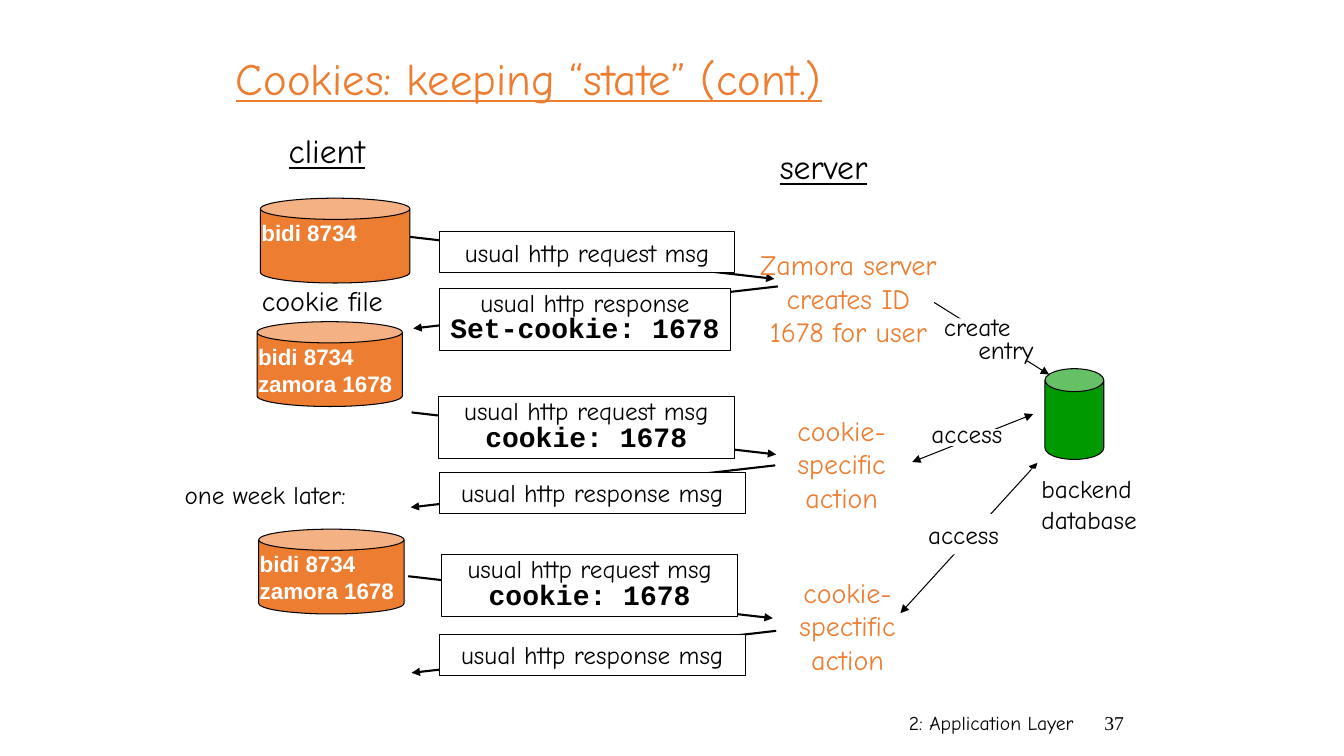
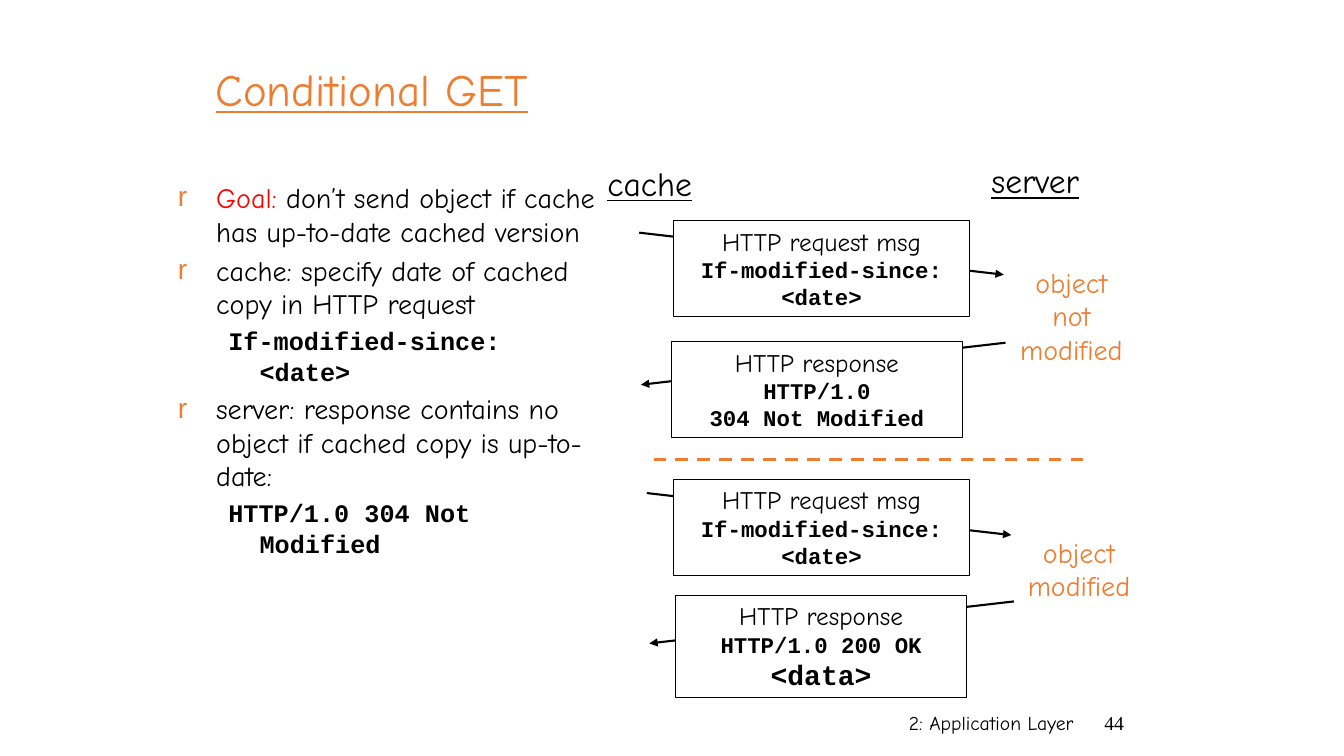
"""Build two slides on HTTP cookies and the conditional GET."""
from lxml.etree import SubElement
from pptx import Presentation
from pptx.dml.color import RGBColor
from pptx.enum.dml import MSO_LINE
from pptx.enum.shapes import MSO_CONNECTOR, MSO_SHAPE
from pptx.enum.text import MSO_ANCHOR, PP_ALIGN
from pptx.oxml.ns import qn
from pptx.util import Inches, Pt

BLACK = RGBColor(0x00, 0x00, 0x00)
WHITE = RGBColor(0xFF, 0xFF, 0xFF)
ORANGE = RGBColor(0xED, 0x7D, 0x31)
RED = RGBColor(0xFF, 0x00, 0x00)
GREEN = RGBColor(0x00, 0x99, 0x00)
COLS, ROWS = 160, 90
HAND, CODE = "Comic Neue", "Courier New"
LEFT, CENTER, RIGHT = PP_ALIGN.LEFT, PP_ALIGN.CENTER, PP_ALIGN.RIGHT


def font(size, color=BLACK, name=HAND, bold=False, underline=False):
    return dict(color=color, name=name, size=Pt(size), bold=bold, underline=underline)


STYLES = {
    "title": font(32, ORANGE, underline=True),
    "head": font(24, underline=True),
    "body": font(20),
    "goal": font(20, RED),
    "action": font(20, ORANGE),
    "label": font(18),
    "footer": font(14),
    "number": font(14, name="Times New Roman"),
    "entry": font(16, WHITE, "Arial", bold=True),
    "code16": font(16, name=CODE, bold=True),
    "code18": font(18, name=CODE, bold=True),
    "code20": font(20, name=CODE, bold=True),
}


class Deck:
    """Holds the presentation, its style and the current slide."""

    def __init__(self):
        self.prs = Presentation()
        self.prs.slide_width, self.prs.slide_height = Inches(13.33), Inches(7.5)
        self.s = None

    def grid(self, x, y, *size):
        """Turn columns and rows into lengths."""
        col, row = self.prs.slide_width / COLS, self.prs.slide_height / ROWS
        return [round(v * (row if i % 2 else col)) for i, v in enumerate((x, y, *size))]

    def slide(self, title, cells, number):
        """Start a slide with its title and footer."""
        self.s = self.prs.slides.add_slide(self.prs.slide_layouts[6])
        self.text((91, 84, 38, 6), ["2: Application Layer"], "footer", RIGHT)
        self.text((129, 84, 6, 6), [number], "number", RIGHT)
        self.text(cells, [title], "title").vertical_anchor = MSO_ANCHOR.MIDDLE

    def run(self, p, text, style):
        """Add a run in a named style."""
        r = p.add_run()
        r.text = text
        values = dict(STYLES[style])
        r.font.color.rgb = values.pop("color")
        for key, value in values.items():
            setattr(r.font, key, value)

    def put_lines(self, tf, lines, style, align=LEFT, spacing=None):
        """Fill a frame; a line is text, or text with its own style."""
        tf.word_wrap = True
        for i, line in enumerate(lines):
            p = tf.add_paragraph() if i else tf.paragraphs[0]
            for key, value in dict(alignment=align, line_spacing=spacing).items():
                setattr(p, key, value)
            self.run(p, *((line, style) if isinstance(line, str) else line))
        return tf

    def text(self, cells, lines, style="label", align=LEFT, spacing=None):
        """Add a text box."""
        tb = self.s.shapes.add_textbox(*self.grid(*cells))
        return self.put_lines(tb.text_frame, lines, style, align, spacing)

    def shape(self, cells, fill=WHITE, line=None, kind=MSO_SHAPE.RECTANGLE):
        """Add a filled shape, outlined if a line colour is given."""
        sp = self.s.shapes.add_shape(kind, *self.grid(*cells))
        sp.shadow.inherit = False
        sp.fill.solid()
        sp.fill.fore_color.rgb = fill
        if line is None:
            sp.line.fill.background()
        else:
            sp.line.color.rgb = line
            sp.line.width = Pt(0.75)
        sp.text_frame.vertical_anchor = MSO_ANCHOR.TOP
        return sp

    def can(self, cells, lines=(), fill=ORANGE, depth=0.25):
        """Add a data store with entries on its front."""
        sp = self.shape(cells, fill, BLACK, MSO_SHAPE.CAN)
        sp.adjustments[0] = depth
        tf = sp.text_frame
        margins = dict(margin_left=Inches(0.01), margin_right=0, margin_top=0, margin_bottom=0)
        for key, value in margins.items():
            setattr(tf, key, value)
        self.put_lines(tf, lines, "entry")

    def line(self, start, end, width=0.75, color=BLACK, heads=("tailEnd",), dash=None):
        """Add a straight line with optional arrowheads."""
        c = self.s.shapes.add_connector(
            MSO_CONNECTOR.STRAIGHT, *self.grid(*start), *self.grid(*end))
        c.line.color.rgb = color
        c.line.width = Pt(width)
        if dash:
            c.line.dash_style = dash
        ln = c._element.spPr.find(qn("a:ln"))
        for head in heads:
            SubElement(ln, qn("a:" + head), type="triangle")
        SubElement(c._element.spPr, qn("a:effectLst"))

    def message(self, x, y, cells, lines, reply=False, spacing=None):
        """Add a request arrow, or a reply arrow, with its message box."""
        near, far = (x + 43.4, x) if reply else (x, x + 43.4)
        self.line((near, y), (far, y + 5), 1.5)
        self.put_lines(self.shape(cells, line=BLACK).text_frame, lines, "label", CENTER, spacing)

    def bullets(self, cells, items):
        """Add a list of bulleted points and indented code lines."""
        tf = self.text(cells, [])
        for i, runs in enumerate(items):
            p = tf.add_paragraph() if i else tf.paragraphs[0]
            is_code = runs[0][1].startswith("code")
            left, hang = (0.81, 0.31) if is_code else (0.38, 0.38)
            pr = p._p.get_or_add_pPr()
            for key, value in dict(marL=Inches(left), indent=-Inches(hang)).items():
                pr.set(key, str(value))
            if is_code:
                SubElement(pr, qn("a:buNone"))
            else:
                color = SubElement(pr, qn("a:buClr"))
                SubElement(color, qn("a:srgbClr"), val=str(ORANGE))
                SubElement(pr, qn("a:buFont"), typeface="Arial")
                SubElement(pr, qn("a:buChar"), char="r")
            if i:
                p.space_before = Pt(3.6 if is_code else 4)
            for text, style in runs:
                self.run(p, text, style)


def cookies(d):
    """Draw the cookie exchange."""
    d.slide("Cookies: keeping “state” (cont.)", (26.9, 1.7, 102, 15), "37")
    d.text((32.5, 14.9, 12.8, 6), ["client"], "head", CENTER)
    d.text((90.8, 16.8, 14.5, 6), ["server"], "head", CENTER)
    d.text((30, 33.2, 23.4, 5.2), ["cookie file"], "body")
    d.text((20.8, 56.5, 23.8, 4.8), ["one week later:"])

    request, response = "usual http request msg", "usual http response"
    cookie = [request, ("cookie: 1678", "code20")]
    d.message(48.8, 28.2, (52.3, 27.6, 35.2, 4.9), [request])
    d.message(49.2, 34.1, (52.3, 34.3, 34.7, 7.4),
              [response, ("Set-cookie: 1678", "code20")], True, 0.8)
    for x, y, left, top in ((49, 49.1, 52.2, 47.2), (48.6, 68.6, 52.6, 66)):
        d.message(x, y, (left, top, 35.2, 7.4), cookie, spacing=0.8)
    for x, y, top in ((48.9, 55.4, 56.2), (49, 75.1, 75.5)):
        d.message(x, y, (52.3, top, 36.4, 4.9), [response + " msg"], True)

    d.text((88.2, 28.9, 25.6, 13.2),
           ["Zamora server", "creates ID", "1678 for user"], "action", CENTER)
    for x, y, w, word in ((92.9, 48.6, 14.6, "specific"), (92.8, 67.9, 16.2, "spectific")):
        d.text((x, y, w, 13.2), ["cookie-", word, "action"], "action", CENTER)

    entries = ["bidi 8734", "zamora 1678"]
    d.can((31, 23.6, 17.8, 10.1), entries[:1])
    for x, y in ((30.6, 38.3), (30.8, 63)):
        d.can((x, y, 17.3, 10.1), entries)
    d.can((124.4, 43.9, 7, 10.8), fill=GREEN, depth=0.39)

    d.line((111.2, 36), (124.9, 44.6))
    d.shape((113.2, 37.9, 12.5, 5))
    tf = d.text((111.2, 37.3, 15.4, 6.6), ["create", "entry"], spacing=0.75)
    tf.paragraphs[1]._p.get_or_add_pPr().set("marL", str(Inches(0.34)))
    both = ("headEnd", "tailEnd")
    d.line((108.6, 55), (123, 49.3), heads=both)
    d.shape((111.8, 51.1, 7.9, 2))
    d.text((109.7, 49.2, 11.6, 4.8), ["access"])
    d.line((107.2, 73), (123.5, 55.1), heads=both)
    d.put_lines(d.shape((109.3, 61.2, 11.6, 4.8)).text_frame, ["access"], "label")
    d.put_lines(d.shape((122.8, 55.8, 15.1, 8.4)).text_frame, ["backend", "database"], "label")


def conditional_get(d):
    """Draw the conditional GET exchange."""
    d.slide("Conditional GET", (24.5, 3, 104.5, 15), "44")
    since = "If-modified-since: <date>"
    d.bullets((20, 20.9, 53, 56.5), [
        [("Goal:", "goal"),
         (" don’t send object if cache has up-to-date cached version", "body")],
        [("cache: specify date of cached copy in HTTP request", "body")],
        [(since, "code18")],
        [("server: response contains no object if cached copy is up-to-date:", "body")],
        [("HTTP/1.0 304 Not Modified", "code18")],
    ])
    d.text((70.8, 18.8, 13.1, 6), ["cache"], "head", CENTER)
    d.text((116, 18.5, 14.5, 6), ["server"], "head", CENTER)

    for x, y, top in ((76.1, 27.7, 26.3), (77, 58.7, 57.1)):
        d.message(x, y, (80.2, top, 35.2, 11.4), ["HTTP request msg", (since, "code16")])
    d.message(76.3, 40.8, (79.9, 40.7, 34.7, 11.4),
              ["HTTP response", ("HTTP/1.0", "code16"), ("304 Not Modified", "code16")], True)
    d.message(77.3, 71.6, (80.4, 70.9, 34.7, 12.1),
              ["HTTP response", ("HTTP/1.0 200 OK", "code16"), ("<data>", "code20")], True)
    d.line((77.8, 54.7), (129, 54.7), 2.25, ORANGE, (), MSO_LINE.DASH)
    d.text((119.5, 31, 16.1, 13.2), ["object", "not", "modified"], "action", CENTER)
    d.text((120.4, 63.1, 16.1, 9.2), ["object", "modified"], "action", CENTER)


def main():
    d = Deck()
    cookies(d)
    conditional_get(d)
    d.prs.save("out.pptx")


if __name__ == "__main__":
    main()
